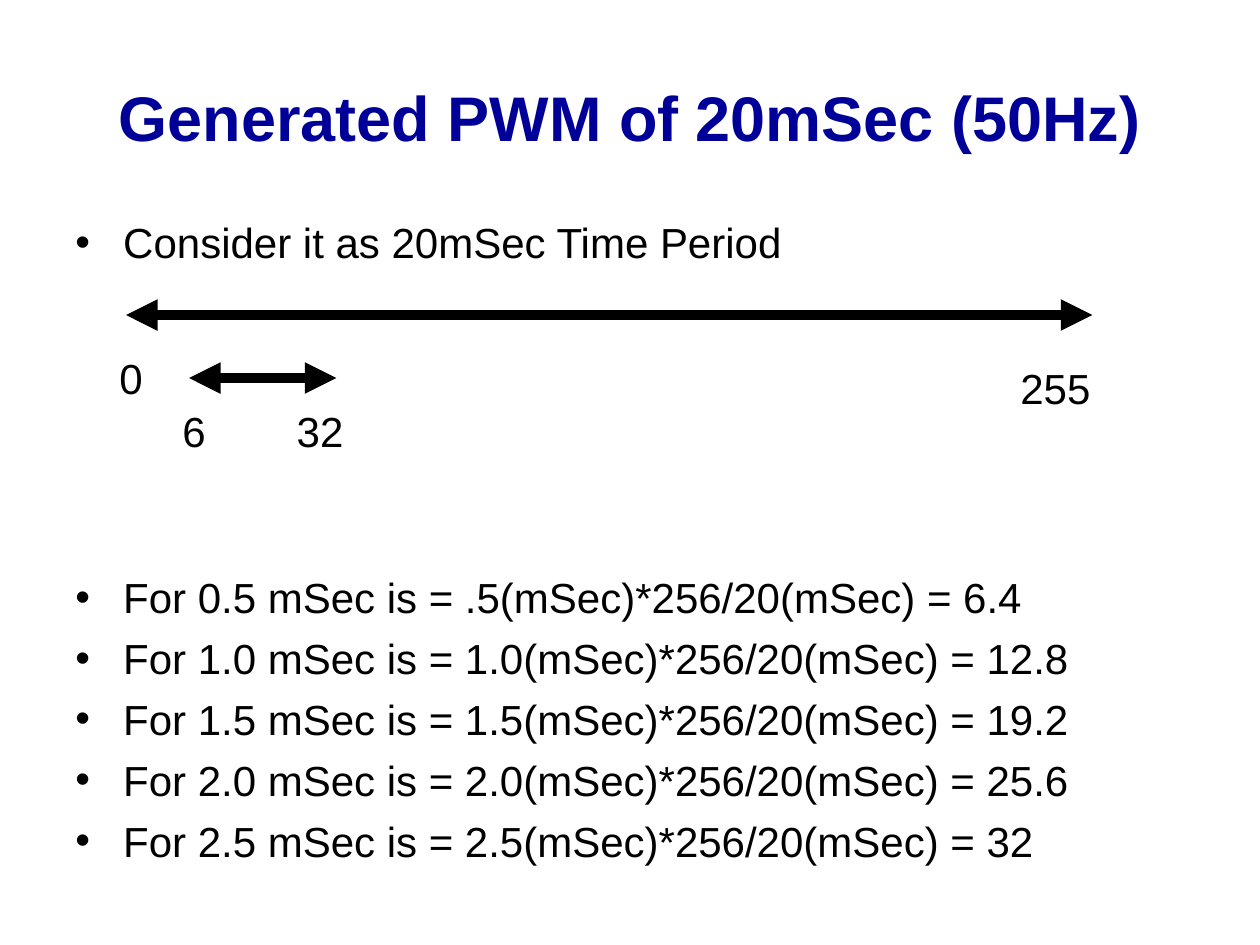
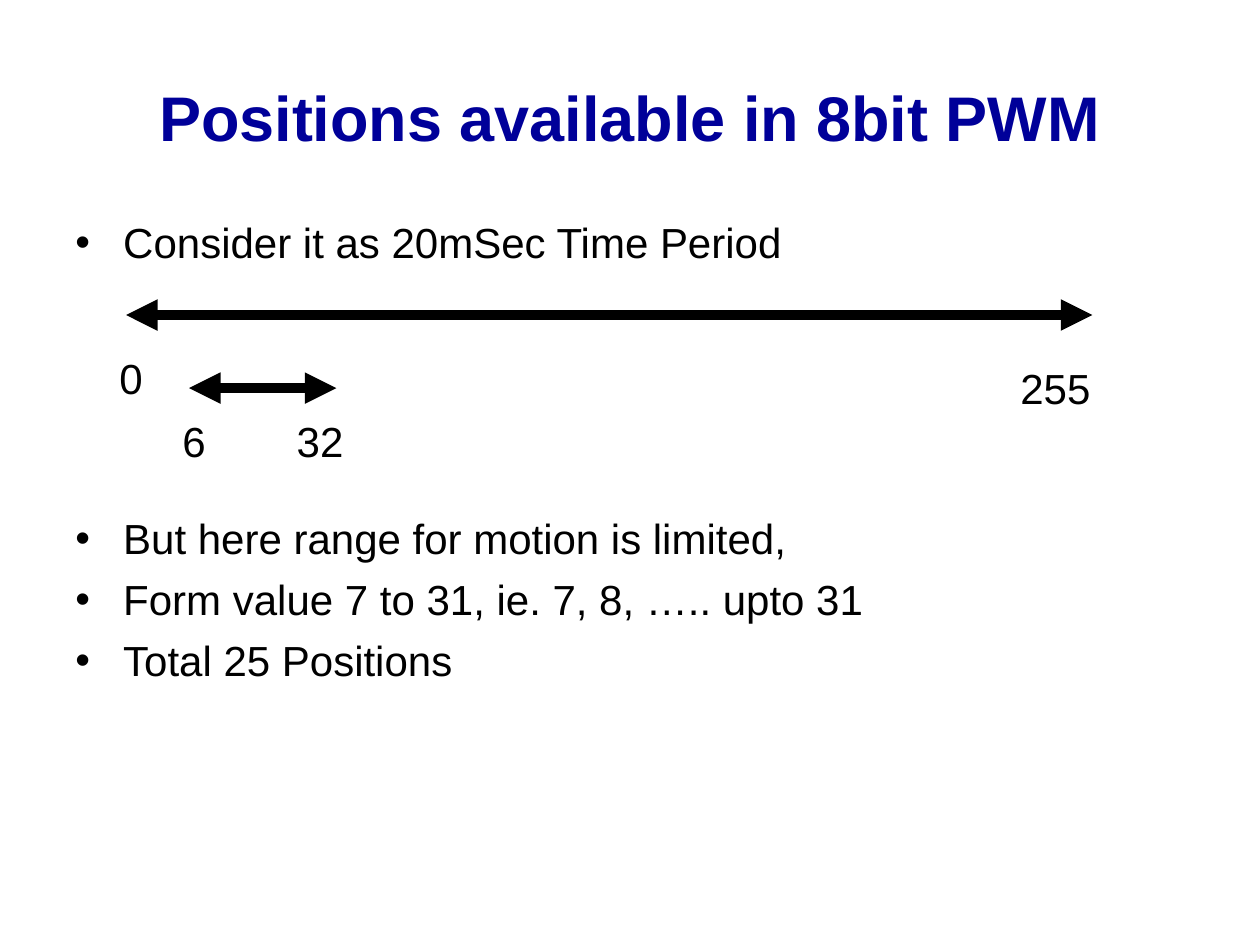
from lxml import etree
from pptx import Presentation
from pptx.dml.color import RGBColor
from pptx.enum.shapes import MSO_CONNECTOR
from pptx.enum.text import MSO_ANCHOR, PP_ALIGN
from pptx.oxml.ns import qn
from pptx.util import Inches, Pt

STRAIGHT = MSO_CONNECTOR.STRAIGHT
MIDDLE = MSO_ANCHOR.MIDDLE
LEFT, CENTER = PP_ALIGN.LEFT, PP_ALIGN.CENTER

COLORS = {"title": "000099", "text": "000000", "line": "000000"}
FONT = "Arial"
TITLE_SIZE, BODY_SIZE = 36, 24
PARA_GAP = 6      # points before each bullet
LINE_PITCH = 33.6  # points from one bullet to the next
TITLE_BOX = (0.5, 0.3, 9, 1.25)
BODY_BOX = (0.5, 1.67, 9, 5.83)
TIMELINE_BOX = (1, 2.5, 7.67, 1.2)
LABEL_W, LABEL_H = 0.92, 0.51


def format_runs(p, size, color, bold=False):
    for r in p.runs:
        r.font.name = FONT
        r.font.size = Pt(size)
        r.font.bold = bold
        r.font.color.rgb = RGBColor.from_string(COLORS[color])


def add_text_box(slide, box):
    sp = slide.shapes.add_textbox(*map(Inches, box))
    sp.text_frame.word_wrap = True
    return sp.text_frame


def add_title(slide, text, box):
    sp = slide.shapes.title
    sp.left, sp.top, sp.width, sp.height = map(Inches, box)
    tf = sp.text_frame
    tf.text = text
    tf.vertical_anchor = MIDDLE
    p = tf.paragraphs[0]
    p.alignment = CENTER
    format_runs(p, TITLE_SIZE, "title", bold=True)


def add_bullets(slide, intro, items, gap_lines, box):
    """Intro bullet, room for the timeline, then the remaining bullets."""
    tf = add_text_box(slide, box)
    for i, text in enumerate([intro] + items):
        p = tf.paragraphs[0] if i == 0 else tf.add_paragraph()
        p.text = text
        p.space_before = Pt(PARA_GAP + (gap_lines * LINE_PITCH if i == 1 else 0))
        format_runs(p, BODY_SIZE, "text")
        pPr = p._p.get_or_add_pPr()
        pPr.set("marL", str(Inches(0.38)))
        pPr.set("indent", str(-Inches(0.38)))
        etree.SubElement(pPr, qn("a:buFont"), typeface=FONT)
        etree.SubElement(pPr, qn("a:buChar"), char="•")


def add_double_arrow(slide, x1, x2, y):
    line = slide.shapes.add_connector(
        STRAIGHT, Inches(x1), Inches(y), Inches(x2), Inches(y))
    line.line.width = Pt(6)
    line.line.color.rgb = RGBColor.from_string(COLORS["line"])
    ln = line.line._get_or_add_ln()
    for end in ("a:headEnd", "a:tailEnd"):
        etree.SubElement(ln, qn(end), type="triangle")
    etree.SubElement(line._element.spPr, qn("a:effectLst"))


def add_label(slide, text, x, y, align=CENTER):
    p = add_text_box(slide, (x, y, LABEL_W, LABEL_H)).paragraphs[0]
    p.text = text
    p.alignment = align
    format_runs(p, BODY_SIZE, "text")


def add_timeline(slide, range_drop, box):
    """Full period arrow with the usable range below it."""
    x, y, w, _ = box
    add_double_arrow(slide, x, x + w, y)
    add_label(slide, "0", x - 0.42, y + 0.25)
    add_label(slide, "255", x + 7, y + 0.33, LEFT)

    # Usable range
    range_y = y + range_drop
    add_double_arrow(slide, x + 0.5, x + 1.67, range_y)
    for text, dx in (("6", 0.08), ("32", 1.08)):
        add_label(slide, text, x + dx, range_y + 0.17)


def add_pwm_slide(prs, title, items, gap_lines, range_drop):
    slide = prs.slides.add_slide(prs.slide_layouts[5])
    add_title(slide, title, TITLE_BOX)
    add_bullets(slide, "Consider it as 20mSec Time Period", items, gap_lines, BODY_BOX)
    add_timeline(slide, range_drop, TIMELINE_BOX)


prs = Presentation()
prs.slide_width, prs.slide_height = Inches(10), Inches(7.5)

# Slide 1: pulse widths converted to counts
pulses = [("0.5", ".5", "6.4"), ("1.0", "1.0", "12.8"), ("1.5", "1.5", "19.2"),
          ("2.0", "2.0", "25.6"), ("2.5", "2.5", "32")]
add_pwm_slide(
    prs, "Generated PWM of 20mSec (50Hz)",
    [f"For {ms} mSec is = {factor}(mSec)*256/20(mSec) = {count}"
     for ms, factor, count in pulses],
    gap_lines=5, range_drop=0.5)

# Slide 2: positions within the range
add_pwm_slide(
    prs, "Positions available in 8bit PWM",
    ["But here range for motion is limited,",
     "Form value 7 to 31, ie. 7, 8, ….. upto 31",
     "Total 25 Positions"],
    gap_lines=4, range_drop=0.58)

prs.save("out.pptx")
